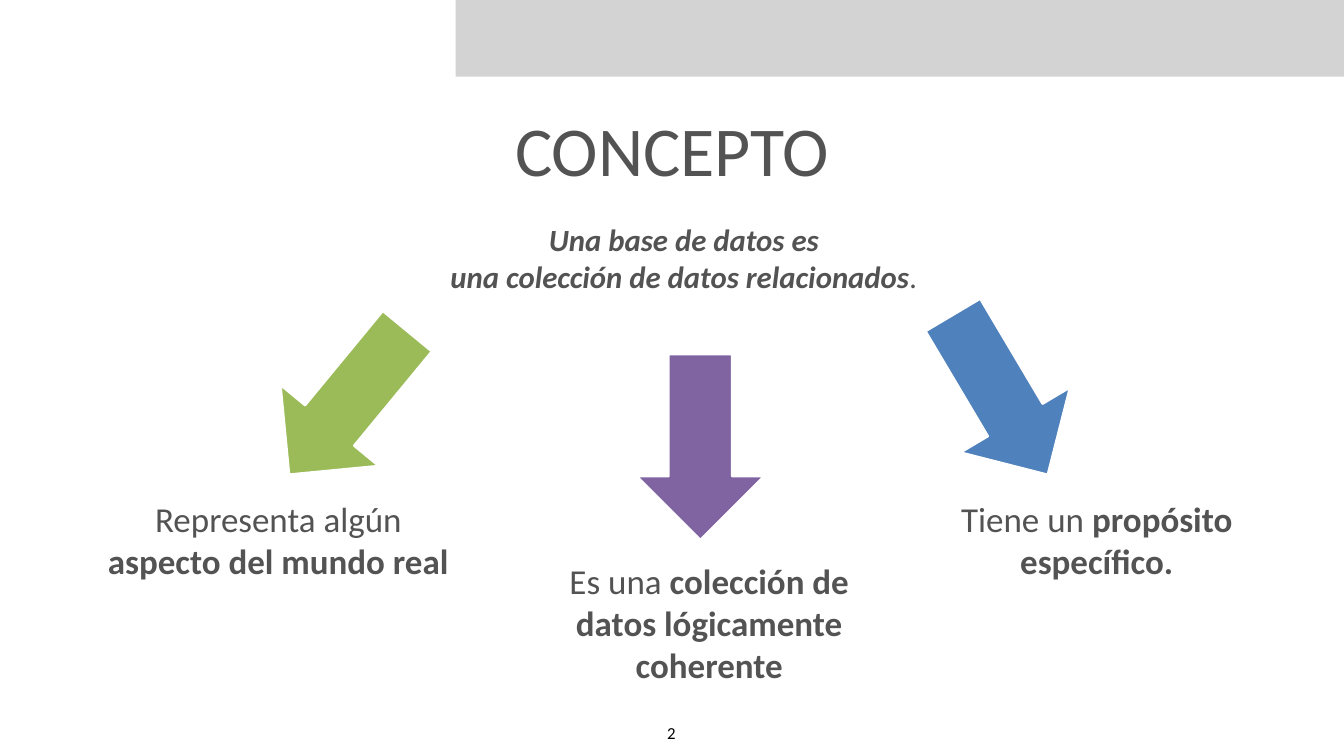
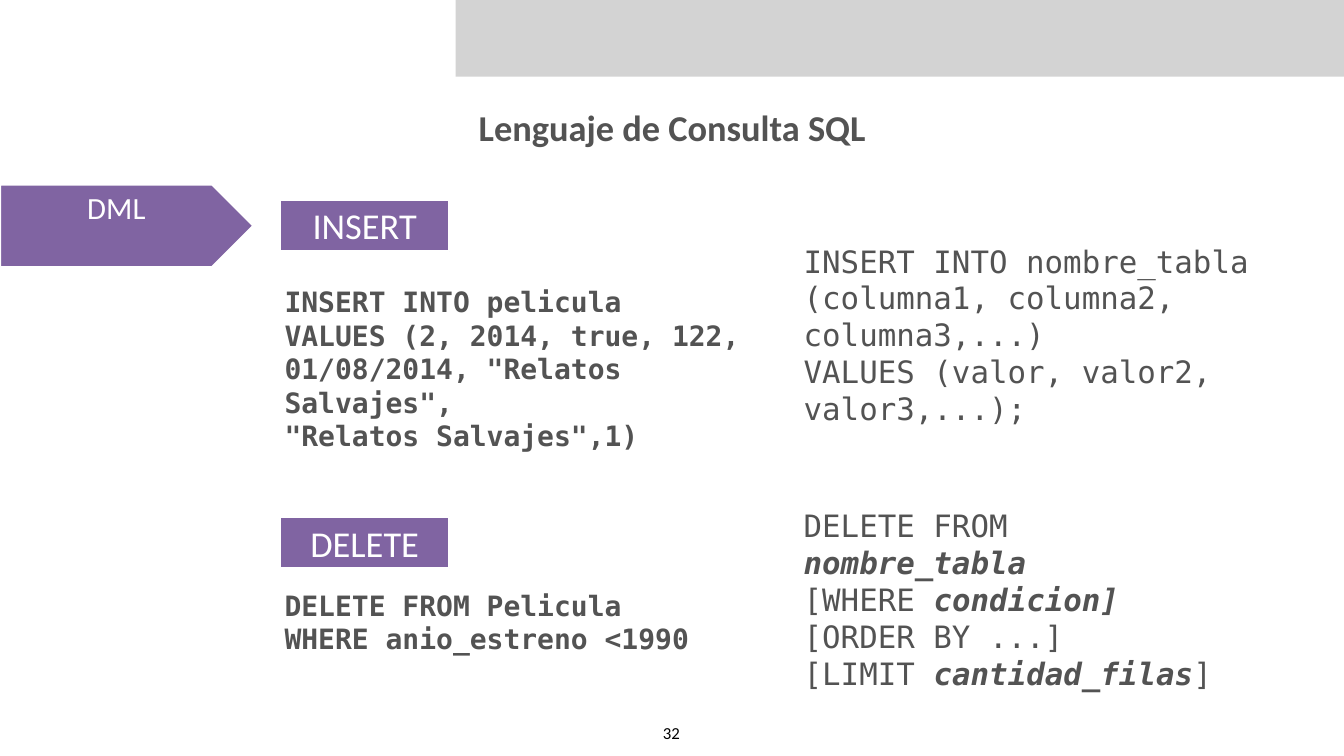
import pptx
import pptx.util
import pptx.dml.color
import pptx.enum.shapes
import pptx.enum.text

Pt = pptx.util.Pt
SHAPES = pptx.enum.shapes.MSO_SHAPE
ALIGN = pptx.enum.text.PP_ALIGN
ANCHOR = pptx.enum.text.MSO_ANCHOR

COLORS = {
    "band": "D3D3D3",
    "text": "535353",
    "white": "FFFFFF",
    "black": "000000",
    "green": "9BBB59",
    "blue": "4F81BD",
    "purple": "8064A2",
}
SANS, MONO = "Calibri", "DejaVu Sans Mono"
SLIDE_W, SLIDE_H = 1920, 1080
TIGHT = (6, 6)
ROOMY = (7.2, 3.6)


def rgb(name):
    return pptx.dml.color.RGBColor.from_string(COLORS[name])


# Shared text and shape helpers
def write(frame, paragraphs, size, color="text", font=SANS, align=ALIGN.CENTER,
          anchor=ANCHOR.MIDDLE, insets=TIGHT):
    """Each paragraph is a list of (text, style); style may hold b and i."""
    frame.word_wrap = True
    frame.vertical_anchor = anchor
    frame.margin_left = frame.margin_right = Pt(insets[0])
    frame.margin_top = frame.margin_bottom = Pt(insets[1])
    for index, parts in enumerate(paragraphs):
        paragraph = frame.add_paragraph() if index else frame.paragraphs[0]
        paragraph.alignment = align
        for text, style in parts:
            run = paragraph.add_run()
            run.text = text
            run.font.name = font
            run.font.size = Pt(size)
            run.font.bold = "b" in style
            run.font.italic = "i" in style
            run.font.color.rgb = rgb(color)


def add_text(slide, box, paragraphs, size, **options):
    area = slide.shapes.add_textbox(*map(Pt, box))
    write(area.text_frame, paragraphs, size, **options)


def add_code(slide, box, paragraphs, size, insets):
    add_text(slide, box, paragraphs, size, font=MONO, align=ALIGN.LEFT,
             anchor=ANCHOR.TOP, insets=insets)


def add_block(slide, kind, box, fill, outlined=True):
    block = slide.shapes.add_shape(kind, *map(Pt, box))
    block.shadow.inherit = False
    block.fill.solid()
    block.fill.fore_color.rgb = rgb(fill)
    if outlined:
        block.line.color.rgb = rgb("white")
        block.line.width = Pt(3)
    else:
        block.line.fill.background()
    return block


# Top band and page number
def add_page(deck, number):
    slide = deck.slides.add_slide(deck.slide_layouts[6])
    slide.background.fill.solid()
    slide.background.fill.fore_color.rgb = rgb("white")
    add_block(slide, SHAPES.RECTANGLE, (651, -3, 1273, 112.5), "band", outlined=False)
    add_text(slide, (934, 1026.5, 50, 39.5), [[(number, "")]], 24,
             color="black", anchor=ANCHOR.TOP)
    return slide


# Arrow with the feature it points to
def add_feature(slide, arrow_at, rotation, fill, caption_box, caption):
    arrow = add_block(slide, SHAPES.DOWN_ARROW, (*arrow_at, 181, 265), fill)
    arrow.rotation = rotation
    add_text(slide, caption_box, [caption], 50)


def build_concept(deck):
    slide = add_page(deck, "2")
    add_text(slide, (381, 146, 1158.5, 132.5), [[("CONCEPTO", "")]], 100)
    definition = [
        [("Una base de datos es", "bi")],
        [("una colección de datos relacionados", "bi"), (".", "i")],
    ]
    add_text(slide, (398, 309.5, 1158.5, 118), definition, 44, anchor=ANCHOR.TOP)

    features = [
        ((407, 443), 39.5, "green", (143.5, 674.5, 508.5, 193),
         [("Representa algún ", ""), ("aspecto del mundo real", "b")]),
        ((1338.5, 431.5), 329.3, "blue", (1362, 674.5, 410, 193),
         [("Tiene un ", ""), ("propósito específico.", "b")]),
        ((910, 506), 0, "purple", (759, 792.5, 508.5, 193),
         [("Es una ", ""), ("colección de datos lógicamente coherente", "b")]),
    ]
    for feature in features:
        add_feature(slide, *feature)


# Statement: label, example below it, syntax on the right
def add_statement(slide, left, top, name, example, example_box, syntax, syntax_box):
    label = add_block(slide, SHAPES.RECTANGLE, (left, top, 241, 74), "purple")
    write(label.text_frame, [[(name, "")]], 52, color="white")

    example_drop, example_w, example_h = example_box
    add_code(slide, (left, top + example_drop, example_w, example_h),
             [[(line, "b")] for line in example], 40, TIGHT)

    syntax_drop, syntax_w, syntax_h = syntax_box
    add_code(slide, (left + 740.5, top + syntax_drop, syntax_w, syntax_h),
             syntax, 44, ROOMY)


def build_query_language(deck):
    slide = add_page(deck, "32")
    add_text(slide, (381, 145, 1158.5, 74), [[("Lenguaje de Consulta SQL", "b")]], 52)
    category = add_block(slide, SHAPES.PENTAGON, (0, 263.5, 362, 118), "purple")
    write(category.text_frame, [[("DML", "")]], 44, color="white", anchor=ANCHOR.TOP)

    add_statement(
        slide, 400.5, 285, "INSERT",
        ["INSERT INTO pelicula",
         "VALUES (2, 2014, true, 122,",
         '01/08/2014, "Relatos Salvajes",',
         '"Relatos Salvajes",1)'],
        (115.5, 741, 205),
        [[("INSERT INTO nombre_tabla (columna1, columna2, columna3,...)", "")],
         [("VALUES (valor, valor2, valor3,...);", "")]],
        (57.5, 733, 278))
    add_statement(
        slide, 400.5, 738, "DELETE",
        ["DELETE FROM Pelicula",
         "WHERE anio_estreno <1990"],
        (96.5, 641, 108),
        [[("DELETE FROM ", ""), ("nombre_tabla", "bi")],
         [("[WHERE ", ""), ("condicion]", "bi")],
         [("[ORDER BY ...]", "")],
         [("[LIMIT ", ""), ("cantidad_filas", "bi"), ("]", "")]],
        (-17.5, 624, 220))


def main():
    deck = pptx.Presentation()
    deck.slide_width, deck.slide_height = Pt(SLIDE_W), Pt(SLIDE_H)
    build_concept(deck)
    build_query_language(deck)
    deck.save("out.pptx")


if __name__ == "__main__":
    main()
